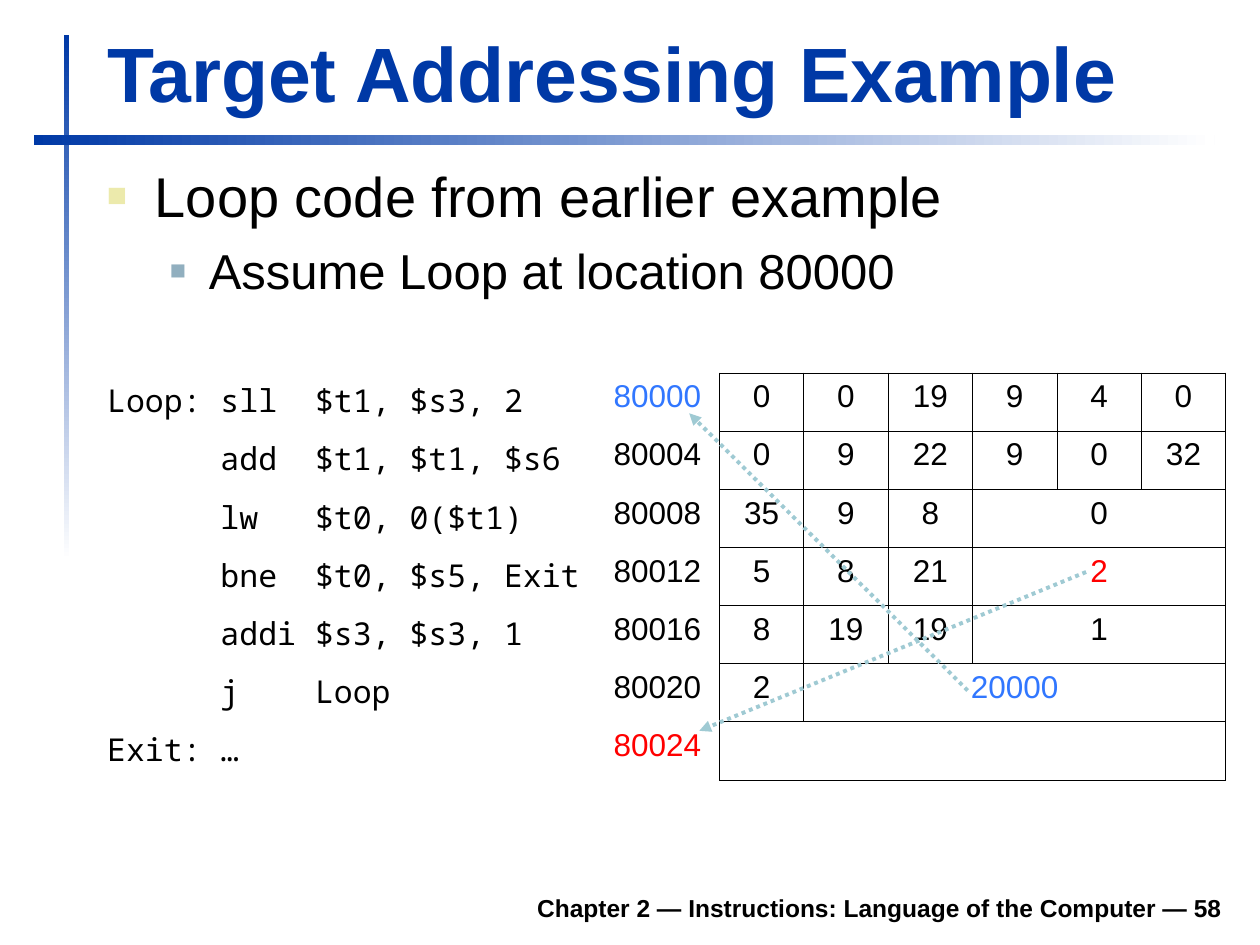
from dataclasses import dataclass

from lxml import etree
from pptx import Presentation
from pptx.dml.color import RGBColor
from pptx.enum.dml import MSO_LINE
from pptx.enum.shapes import MSO_CONNECTOR, MSO_SHAPE
from pptx.enum.text import MSO_ANCHOR, MSO_AUTO_SIZE, PP_ALIGN
from pptx.oxml.ns import qn
from pptx.util import Inches, Pt

RECTANGLE = MSO_SHAPE.RECTANGLE
STRAIGHT = MSO_CONNECTOR.STRAIGHT
DOTTED = MSO_LINE.ROUND_DOT
TOP, BOTTOM = MSO_ANCHOR.TOP, MSO_ANCHOR.BOTTOM
LEFT, CENTER, RIGHT = PP_ALIGN.LEFT, PP_ALIGN.CENTER, PP_ALIGN.RIGHT
FIXED = MSO_AUTO_SIZE.NONE

GRID_COLUMNS, GRID_ROWS = 100, 75
SLIDE_WIDTH, SLIDE_HEIGHT = Inches(10), Inches(7.5)
TABLE_COLUMNS = [40.2, 9.4] + [6.7] * 6


@dataclass(frozen=True)
class Theme:
    font: str = "Arial"
    code_font: str = "Noto Sans Mono"
    title_size: int = 44
    body_sizes: tuple = (32, 28)
    table_size: int = 18
    footer_size: int = 14
    navy: str = "0039A6"
    black: str = "000000"
    white: str = "FFFFFF"
    blue: str = "3177FF"
    red: str = "FF0000"
    arrow: str = "9FCAD3"
    bullets: tuple = ("ECEAAC", "91AFBF")
    border_width: float = 0.45
    arrow_width: float = 2.25


THEME = Theme()

INSTRUCTIONS = [
    ("Loop: sll  $t1, $s3, 2", "80000", [0, 0, 19, 9, 4, 0]),
    ("      add  $t1, $t1, $s6", "80004", [0, 9, 22, 9, 0, 32]),
    ("      lw   $t0, 0($t1)", "80008", [35, 9, 8, 0]),
    ("      bne  $t0, $s5, Exit", "80012", [5, 8, 21, 2]),
    ("      addi $s3, $s3, 1", "80016", [8, 19, 19, 1]),
    ("      j    Loop", "80020", [2, 20000]),
    ("Exit: …", "80024", [""]),
]
ACCENTS = {(0, 1): THEME.blue, (5, 3): THEME.blue,
           (3, 5): THEME.red, (6, 1): THEME.red}
JUMPS = [((69.3, 25.2), (47.2, 3.2)), ((78.7, 15.8), (48, 28.4))]


def across(columns):
    return round(SLIDE_WIDTH * columns / GRID_COLUMNS)


def down(rows):
    return round(SLIDE_HEIGHT * rows / GRID_ROWS)


def place(box):
    left, top, width, height = box
    return across(left), down(top), across(width), down(height)


def apply_format(target, **values):
    for name, value in values.items():
        setattr(target, name, value)


def add_element(parent, tag, **attributes):
    return etree.SubElement(parent, qn(tag), attributes)


def write(paragraph, text, size, color=THEME.black, font=THEME.font,
          bold=False, alignment=LEFT):
    paragraph.alignment = alignment
    run = paragraph.add_run()
    run.text = str(text)
    apply_format(run.font, size=Pt(size), name=font, bold=bold)
    run.font.color.rgb = RGBColor.from_string(color)


def add_fading_bar(slide, box, angle):
    shape = slide.shapes.add_shape(RECTANGLE, *place(box))
    shape.shadow.inherit = False
    shape.line.fill.background()
    shape.fill.gradient()
    shape.fill.gradient_angle = angle
    for stop, color in zip(shape.fill.gradient_stops, (THEME.navy, THEME.white)):
        stop.color.rgb = RGBColor.from_string(color)


def add_title(slide, box):
    title = slide.shapes.title
    left, top, width, height = place(box)
    apply_format(title, left=left, top=top, width=width, height=height)
    apply_format(title.text_frame, word_wrap=True, auto_size=FIXED,
                 vertical_anchor=BOTTOM)
    write(title.text_frame.paragraphs[0], "Target Addressing Example",
          THEME.title_size, THEME.navy, bold=True)


def add_text_frame(slide, box, anchor):
    frame = slide.shapes.add_textbox(*place(box)).text_frame
    apply_format(frame, word_wrap=True, auto_size=FIXED, vertical_anchor=anchor)
    return frame


def add_bullet(paragraph, color, share, margin, hanging):
    properties = paragraph._p.get_or_add_pPr()
    properties.set("marL", str(Inches(margin)))
    properties.set("indent", str(-Inches(hanging)))
    bullet_color = add_element(properties, "a:buClr")
    add_element(bullet_color, "a:srgbClr", val=color)
    add_element(properties, "a:buSzPct", val=str(share * 1000))
    add_element(properties, "a:buFont", typeface=THEME.font)
    add_element(properties, "a:buChar", char="■")


def add_body(slide, box):
    frame = add_text_frame(slide, box, TOP)
    first, second = frame.paragraphs[0], frame.add_paragraph()
    add_bullet(first, THEME.bullets[0], 60, 0.38, 0.38)
    add_bullet(second, THEME.bullets[1], 55, 0.81, 0.31)
    apply_format(second, level=1, space_before=Pt(7))
    write(first, "Loop code from earlier example", THEME.body_sizes[0])
    write(second, "Assume Loop at location 80000", THEME.body_sizes[1])


def add_footer(slide, box):
    frame = add_text_frame(slide, box, BOTTOM)
    write(frame.paragraphs[0],
          "Chapter 2 — Instructions: Language of the Computer — 58",
          THEME.footer_size, bold=True, alignment=RIGHT)


def draw_borders(cell, column):
    hidden = {0: "LRTB", 1: "LTB"}.get(column, "")
    properties = cell._tc.get_or_add_tcPr()
    for side in "LRTB":
        border = add_element(properties, f"a:ln{side}",
                             w=str(Pt(THEME.border_width)))
        fill = add_element(border, "a:solidFill")
        color = THEME.white if side in hidden else THEME.black
        add_element(fill, "a:srgbClr", val=color)


def add_instruction_table(slide, box):
    table = slide.shapes.add_table(
        len(INSTRUCTIONS), len(TABLE_COLUMNS), *place(box)).table
    apply_format(table, first_row=False, horz_banding=False)
    for column, width in zip(table.columns, TABLE_COLUMNS):
        column.width = across(width)
    for row, (code, address, fields) in enumerate(INSTRUCTIONS):
        table.rows[row].height = down(box[3] / len(INSTRUCTIONS))
        for column in range(len(TABLE_COLUMNS)):
            cell = table.cell(row, column)
            draw_borders(cell, column)
            cell.fill.background()
        values = [code, address, *fields]
        last = len(values) - 1
        if last < len(TABLE_COLUMNS) - 1:
            table.cell(row, last).merge(table.cell(row, len(TABLE_COLUMNS) - 1))
        for column, value in enumerate(values):
            write(table.cell(row, column).text_frame.paragraphs[0], value,
                  THEME.table_size, ACCENTS.get((row, column), THEME.black),
                  THEME.font if column else THEME.code_font,
                  alignment=CENTER if column > 1 else LEFT)


def add_jump_arrows(slide, box):
    left, top = box[:2]
    for (start_x, start_y), (end_x, end_y) in JUMPS:
        arrow = slide.shapes.add_connector(
            STRAIGHT, across(left + start_x), down(top + start_y),
            across(left + end_x), down(top + end_y))
        arrow.line.color.rgb = RGBColor.from_string(THEME.arrow)
        apply_format(arrow.line, width=Pt(THEME.arrow_width), dash_style=DOTTED)
        add_element(arrow.line._get_or_add_ln(), "a:tailEnd", type="triangle")
        add_element(arrow._element.spPr, "a:effectLst")


def main():
    presentation = Presentation()
    apply_format(presentation, slide_width=SLIDE_WIDTH, slide_height=SLIDE_HEIGHT)
    slide = presentation.slides.add_slide(presentation.slide_layouts[5])
    table_box = (7.5, 29.6, sum(TABLE_COLUMNS), 32.3)
    add_fading_bar(slide, (5.1, 2.8, 0.4, 41.7), 270)
    add_fading_bar(slide, (2.7, 10.7, 93.7, 0.8), 0)
    add_footer(slide, (18.5, 69.8, 79.5, 3.9))
    add_title(slide, (7.5, 1.6, 90.3, 8.3))
    add_body(slide, (7.5, 12.3, 90.4, 13.4))
    add_instruction_table(slide, table_box)
    add_jump_arrows(slide, table_box)
    presentation.save("out.pptx")


if __name__ == "__main__":
    main()
